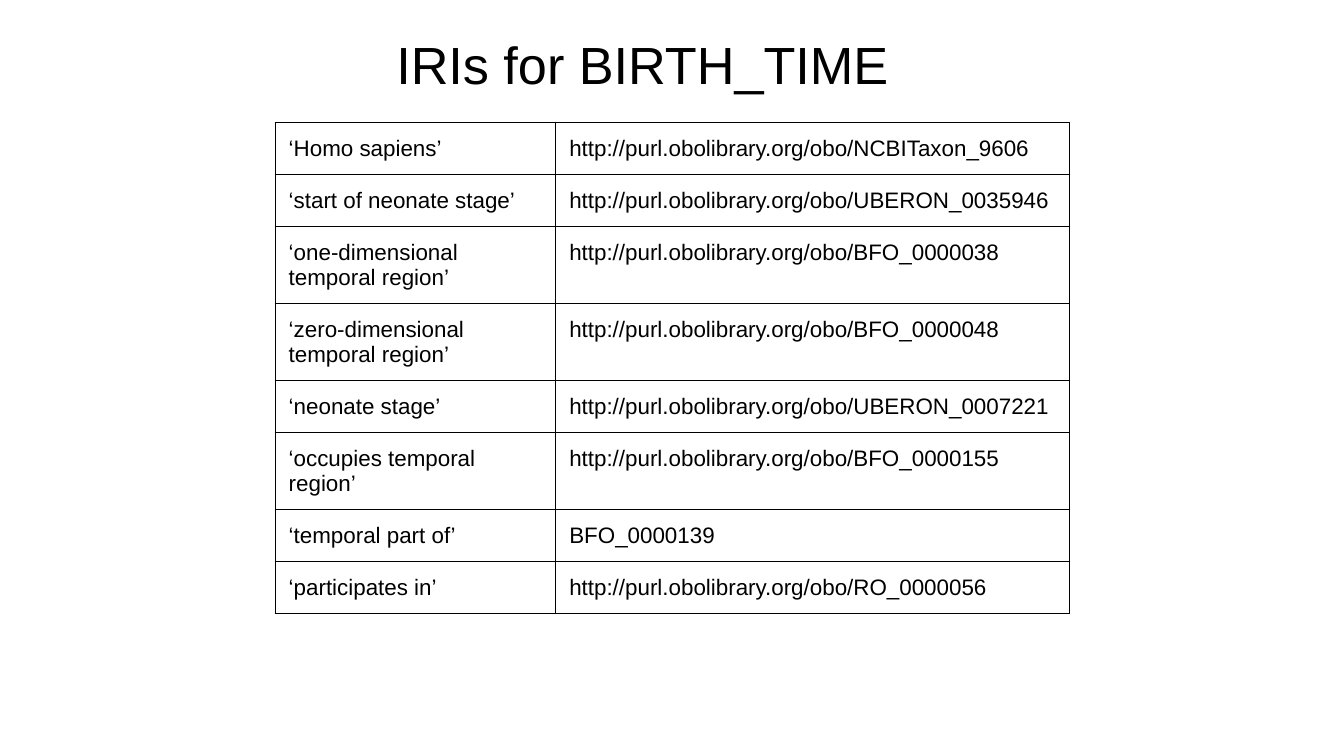
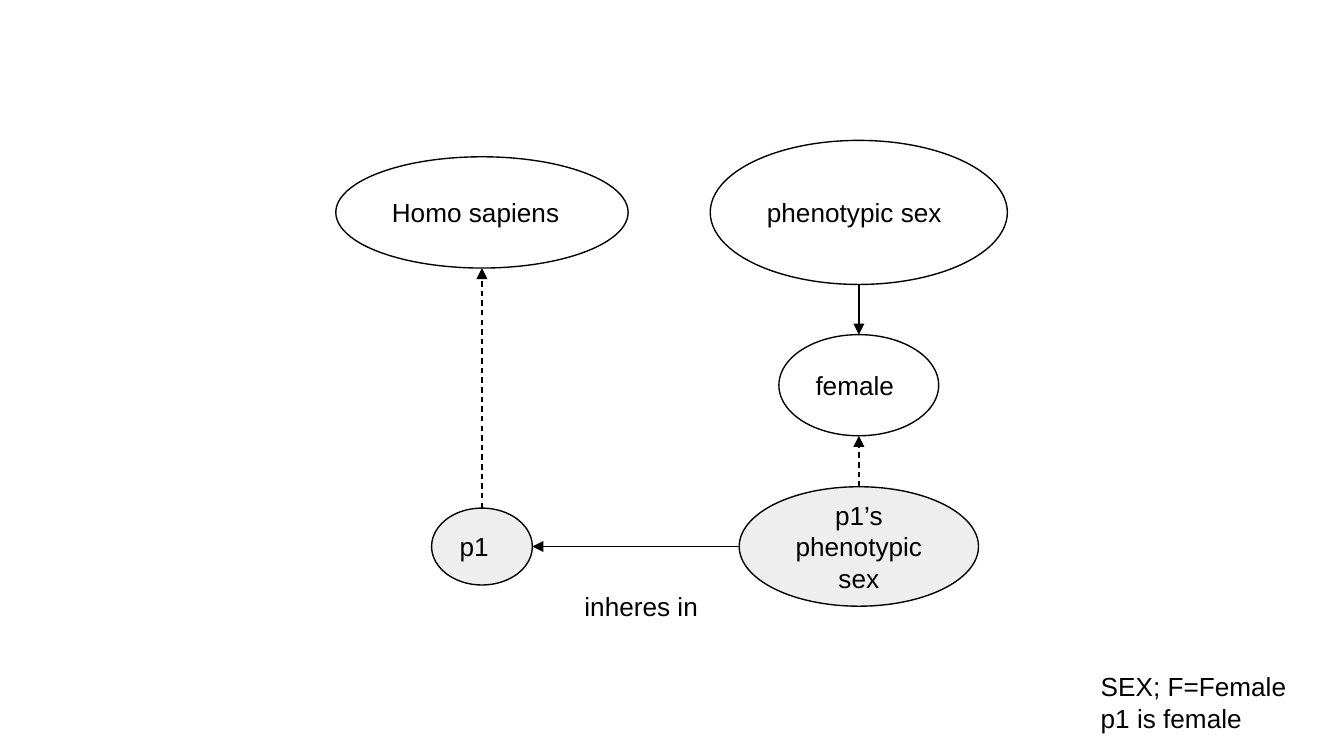
from lxml.etree import SubElement
from pptx import Presentation
from pptx.dml.color import RGBColor
from pptx.enum.dml import MSO_LINE_DASH_STYLE as DASH
from pptx.enum.shapes import MSO_CONNECTOR as CONN, MSO_SHAPE as SHAPE
from pptx.enum.text import MSO_ANCHOR as ANCHOR, MSO_AUTO_SIZE as AUTO, PP_ALIGN as ALIGN
from pptx.oxml.ns import qn
from pptx.util import Pt

BLACK = RGBColor(0x00, 0x00, 0x00)
WHITE = RGBColor(0xFF, 0xFF, 0xFF)
GREY = RGBColor(0xEE, 0xEE, 0xEE)
FONT = "Arial"
LINE = 0.75
INSET = 7.2
LEFT_X, RIGHT_X = 258.2, 460.1
TOP_Y, FEMALE_Y, BOTTOM_Y = 113.8, 206.4, 292.8

OBO = "http://purl.obolibrary.org/obo/"
IRIS = [
    ("‘Homo sapiens’", OBO + "NCBITaxon_9606"),
    ("‘start of neonate stage’", OBO + "UBERON_0035946"),
    ("‘one-dimensional temporal region’", OBO + "BFO_0000038"),
    ("‘zero-dimensional temporal region’", OBO + "BFO_0000048"),
    ("‘neonate stage’", OBO + "UBERON_0007221"),
    ("‘occupies temporal region’", OBO + "BFO_0000155"),
    ("‘temporal part of’", "BFO_0000139"),
    ("‘participates in’", OBO + "RO_0000056"),
]


def write(tf, lines, size, align=ALIGN.LEFT):
    """Fill a text frame with one paragraph per line."""
    for i, line in enumerate(lines):
        p = tf.add_paragraph() if i else tf.paragraphs[0]
        p.alignment = align
        r = p.add_run()
        r.text = line
        r.font.name, r.font.size = FONT, Pt(size)
        r.font.color.rgb = BLACK


def set_insets(obj):
    """Give a text frame or a table cell equal insets."""
    obj.margin_left = obj.margin_right = Pt(INSET)
    obj.margin_top = obj.margin_bottom = Pt(INSET)


def add_title(s, text):
    """Place and fill the slide title."""
    sp = s.shapes.title
    sp.left, sp.top, sp.width, sp.height = Pt(8.6), Pt(10), Pt(671), Pt(45.4)
    tf = sp.text_frame
    set_insets(tf)
    tf.vertical_anchor, tf.auto_size = ANCHOR.TOP, AUTO.NONE
    write(tf, [text], 28, ALIGN.CENTER)


def style_cell(cell, text):
    """Write a cell with white fill and thin black borders."""
    set_insets(cell)
    cell.vertical_anchor = ANCHOR.TOP
    write(cell.text_frame, [text], 12)
    tcPr = cell._tc.get_or_add_tcPr()
    for side in ("lnL", "lnR", "lnT", "lnB"):
        ln = SubElement(tcPr, qn("a:" + side), w=str(Pt(LINE)))
        SubElement(SubElement(ln, qn("a:solidFill")), qn("a:srgbClr"), val=str(BLACK))
    cell.fill.solid()
    cell.fill.fore_color.rgb = WHITE


def add_table(s, rows, x, y, widths, row_height):
    """Add a plain bordered table."""
    frame = s.shapes.add_table(len(rows), len(widths), Pt(x), Pt(y),
                               Pt(sum(widths)), Pt(row_height * len(rows)))
    table = frame.table
    table.first_row = table.horz_banding = False
    for column, width in zip(table.columns, widths):
        column.width = Pt(width)
    for i, row in enumerate(rows):
        for j, text in enumerate(row):
            style_cell(table.cell(i, j), text)


def add_box(s, kind, x, y, w, h, text, line, fill=None, align=ALIGN.LEFT):
    """Add an outlined shape with text."""
    sp = s.shapes.add_shape(kind, Pt(x), Pt(y), Pt(w), Pt(h))
    sp.shadow.inherit = False
    if fill is None:
        sp.fill.background()
    else:
        sp.fill.solid()
        sp.fill.fore_color.rgb = fill
    sp.line.color.rgb, sp.line.width = line, Pt(LINE)
    tf = sp.text_frame
    set_insets(tf)
    tf.word_wrap = True
    tf.vertical_anchor = ANCHOR.TOP if fill is None else ANCHOR.MIDDLE
    write(tf, [text], 14, align)
    return sp


def add_node(s, cx, cy, w, h, text, fill=WHITE, align=ALIGN.LEFT):
    """Add an ellipse around a centre point."""
    return add_box(s, SHAPE.OVAL, cx - w / 2, cy - h / 2, w, h, text, BLACK, fill, align)


def add_arrow(s, start, end, dashed=False):
    """Draw an arrow between two points."""
    sp = s.shapes.add_connector(CONN.STRAIGHT, *start, *end)
    sp.line.color.rgb, sp.line.width = BLACK, Pt(LINE)
    if dashed:
        sp.line.dash_style = DASH.DASH
    SubElement(sp.line._get_or_add_ln(), qn("a:tailEnd"), type="triangle")
    SubElement(sp._element.spPr, qn("a:effectLst"))


def top(sp):
    """Return the top middle point."""
    return sp.left + sp.width // 2, sp.top


def bottom(sp):
    """Return the bottom middle point."""
    return sp.left + sp.width // 2, sp.top + sp.height


def left(sp):
    """Return the left middle point."""
    return sp.left, sp.top + sp.height // 2


def right(sp):
    """Return the right middle point."""
    return sp.left + sp.width, sp.top + sp.height // 2


def add_caption(s, x, y, w, h, lines):
    """Add an unwrapped text box."""
    sp = s.shapes.add_textbox(Pt(x), Pt(y), Pt(w), Pt(h))
    tf = sp.text_frame
    tf.word_wrap, tf.auto_size = False, AUTO.SHAPE_TO_FIT_TEXT
    write(tf, lines, 14)


def build_iris(prs):
    """Build the slide listing the IRIs."""
    s = prs.slides.add_slide(prs.slide_layouts[5])
    add_title(s, "IRIs for BIRTH_TIME")
    add_table(s, IRIS, 147.5, 65.6, (150.3, 275.2), 26.7)


def build_sex(prs):
    """Build the diagram of phenotypic sex."""
    s = prs.slides.add_slide(prs.slide_layouts[6])
    human = add_node(s, LEFT_X, TOP_Y, 156.6, 59.6, "Homo sapiens")
    person = add_node(s, LEFT_X, BOTTOM_Y, 54, 41.2, "p1", GREY)
    quality = add_node(s, RIGHT_X, BOTTOM_Y, 128.2, 64, "p1’s phenotypic sex",
                       GREY, ALIGN.CENTER)
    female = add_node(s, RIGHT_X, FEMALE_Y, 85.6, 54.2, "female")
    sex = add_node(s, RIGHT_X, TOP_Y, 159.2, 77.2, "phenotypic sex")
    add_arrow(s, top(person), bottom(human), dashed=True)
    add_arrow(s, bottom(sex), top(female))
    add_arrow(s, top(quality), bottom(female), dashed=True)
    add_arrow(s, left(quality), right(person))
    add_box(s, SHAPE.RECTANGLE, 306, 309, 85, 21, "inheres in", WHITE)
    add_caption(s, 582.6, 355.8, 114.4, 41, ["SEX; F=Female", "p1 is female"])


def main():
    """Build and save the presentation."""
    prs = Presentation()
    prs.slide_width, prs.slide_height = Pt(720), Pt(405)
    build_iris(prs)
    build_sex(prs)
    prs.save("out.pptx")


main()
